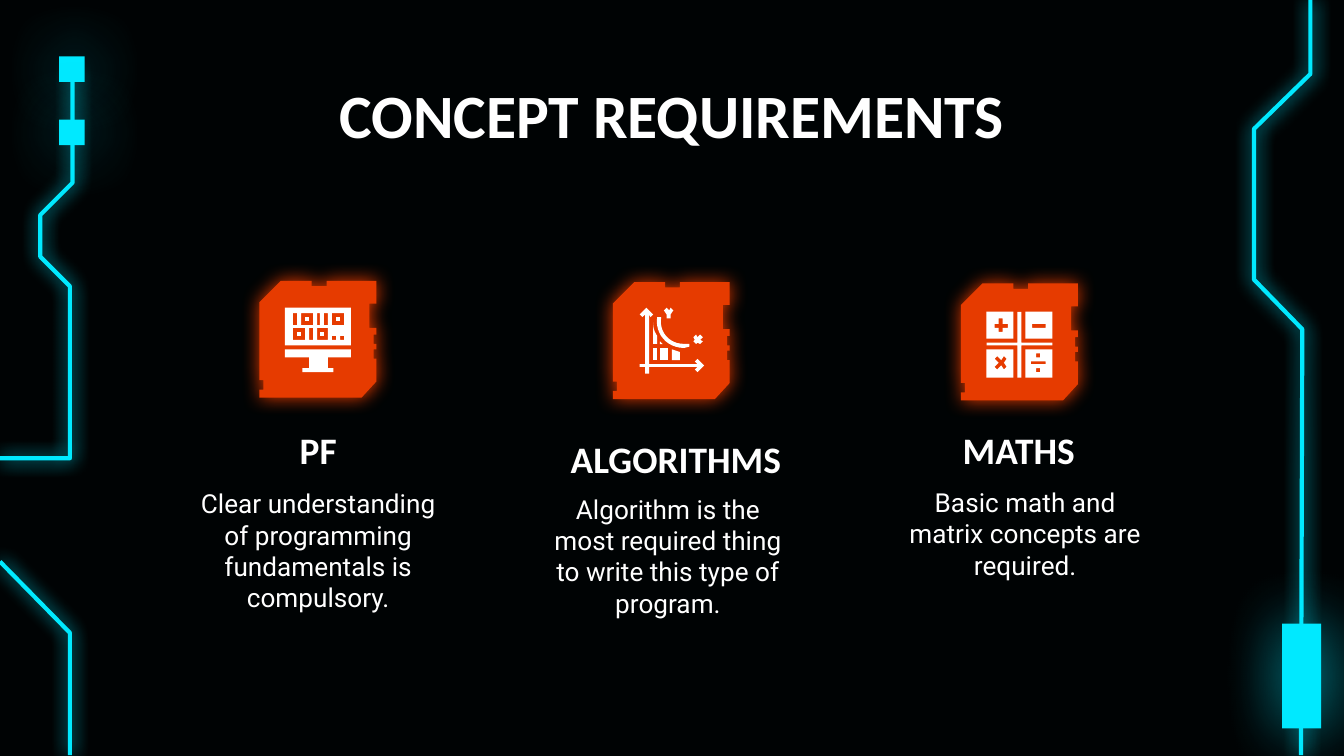
from pptx import Presentation
from pptx.dml.color import RGBColor
from pptx.enum.shapes import MSO_SHAPE
from pptx.enum.text import MSO_ANCHOR, PP_ALIGN
from pptx.oxml import parse_xml
from pptx.oxml.ns import nsdecls, qn
from pptx.util import Cm, Pt

BLACK = RGBColor(0x00, 0x03, 0x04)
CYAN = RGBColor(0x00, 0xE9, 0xFF)
ORANGE = RGBColor(0xE6, 0x3B, 0x00)
WHITE = RGBColor(0xFF, 0xFF, 0xFF)

# Drawing grid: 100 units to 2.54 cm, each divided in 10 for smooth curves
UNIT = Cm(2.54) / 100
FINE = 10


def box(left, top, width, height):
    right, bottom = left + width, top + height
    return [(left, top), (left, bottom), (right, bottom), (right, top)]


def curve(start, control1, control2, end, steps=12):
    """Points along a cubic Bezier curve."""
    points = []
    for step in range(steps + 1):
        t = step / steps
        weights = ((1 - t) ** 3, 3 * t * (1 - t) ** 2, 3 * t * t * (1 - t), t ** 3)
        points.append(tuple(sum(w * p[axis] for w, p in zip(weights, (start, control1, control2, end)))
                            for axis in (0, 1)))
    return points


# Circuit lines, slide coordinates
CIRCUITS = [
    [(0, 418), (52, 471), (52, 562)],
    [(54, 52), (54, 136), (30, 160), (30, 191), (52, 213), (52, 341), (0, 341)],
    [(968, 562), (969, 245), (933, 208), (933, 96), (975, 55), (975, 0)],
]
CIRCUIT_NODES = [(44, 42, 19, 19), (44, 89, 19, 19), (954, 464, 29, 78)]

# Chip behind each icon, from its own corner
CHIP = [(16, 0), (0, 16), (0, 74), (3, 74), (3, 81), (0, 81), (0, 87), (76, 87), (87, 75),
        (87, 58), (85, 58), (85, 51), (87, 51), (87, 47), (85, 47), (85, 40), (87, 40),
        (87, 35), (82, 35), (82, 17), (87, 17), (87, 0), (50, 0), (50, 4), (39, 4), (39, 0)]

# Icons: each part is a list of contours, where inner contours are holes
MONITOR_HOLES = [(6, 4, 3, 9), (12, 4, 9, 9), (24, 4, 2, 9), (29, 4, 3, 9), (35, 4, 9, 9),
                 (6, 15, 9, 9), (18, 15, 3, 9), (24, 15, 8, 9), (35, 21, 3, 3), (41, 21, 3, 3)]
MONITOR_ICON = [
    [box(0, 0, 49, 28), *(box(*hole) for hole in MONITOR_HOLES)],
    *([box(x, y, 3, 3)] for x, y in [(15, 7), (38, 7), (9, 18), (26, 18)]),
    [[(0, 31), (0, 37), (18, 37), (18, 45), (13, 45), (13, 48),
      (36, 48), (36, 45), (32, 45), (32, 37), (49, 37), (49, 31)]],
]
GRAPH_ICON = [
    # Axes
    [[(6, 0), (1, 5), (3, 7), (5, 5), (5, 42), (1, 42), (1, 44), (5, 44), (5, 49), (8, 49), (8, 44),
      (44, 44), (42, 46), (44, 48), (49, 43), (44, 38), (42, 40), (44, 42), (8, 42), (8, 5), (9, 7), (11, 5)]],
    # Curve and the area under it
    [curve((14, 7), (12, 19), (21, 30), (34, 30)) + [(38, 29), (38, 27)]
     + curve((34, 27), (23, 27), (15, 18), (17, 7))],
    [[(16, 25), (16, 27), (18, 27)]],
    [[(11, 27), (14, 27)] + curve((14, 21), (12, 18), (11, 15), (11, 11))],
    [box(11, 30, 3, 9)],
    [box(16, 30, 6, 9)],
    [[(25, 31), (25, 39), (31, 39), (31, 33)]],
    # Axis letters x and y
    [[(43, 20), (41, 22), (42, 24), (41, 25), (43, 27), (44, 26),
      (46, 27), (48, 25), (46, 24), (48, 22), (46, 20), (44, 22)]],
    [[(21, 0), (19, 2), (21, 5), (21, 8), (24, 8), (24, 5), (26, 2), (24, 0), (23, 2)]],
]
PLUS = [(12, 5), (12, 9), (16, 9), (16, 12), (12, 12), (12, 15),
        (9, 15), (9, 12), (6, 12), (6, 9), (9, 9), (9, 5)]
TIMES = [(13, 33), (15, 35), (13, 38), (15, 41), (13, 43), (11, 40),
         (8, 43), (6, 41), (9, 38), (6, 35), (8, 33), (11, 36)]
DIVIDER = [(23, 0), (23, 23), (0, 23), (0, 25), (23, 25), (23, 49),
           (26, 49), (26, 25), (49, 25), (49, 23), (26, 23), (26, 0)]
MATHS_ICON = [
    [box(0, 0, 20, 20), PLUS],
    [DIVIDER],
    [box(29, 0, 20, 20), box(34, 9, 10, 3)],
    [box(0, 28, 20, 21), TIMES],
    [box(29, 28, 20, 21), box(37, 31, 3, 3), box(33, 37, 11, 2), box(37, 42, 3, 3)],
]

# Heading, its place in cm, body, its place in cm, chip corner, icon corner, icon
REQUIREMENTS = [
    ("PF", (3.45, 8.08), "Clear understanding of programming fundamentals is compulsory.",
     (3.45, 9.22), (193, 209), (212, 229), MONITOR_ICON),
    ("ALGORITHMS", (10.21, 8.25), "Algorithm is the most required thing to write this type of program.",
     (10.06, 9.32), (456, 210), (475, 229), GRAPH_ICON),
    ("MATHS", (16.69, 8.08), "Basic math and matrix concepts are required.",
     (16.81, 9.19), (715, 211), (734, 232), MATHS_ICON),
]


def add_glow(shape, color, blur=10.1, distance=0, opacity=100):
    effects = shape._element.spPr.find(qn("a:effectLst"))
    effects.append(parse_xml(
        f'<a:outerShdw {nsdecls("a")} blurRad="{Pt(blur)}" dist="{Pt(distance)}" dir="0" '
        f'algn="bl" rotWithShape="0"><a:srgbClr val="{color}">'
        f'<a:alpha val="{opacity * 1000}"/></a:srgbClr></a:outerShdw>'))


def fill_plain(shape, color):
    shape.shadow.inherit = False
    shape.fill.solid()
    shape.fill.fore_color.rgb = color
    shape.line.fill.background()


def trace(slide, contours, origin=(0, 0), close=True):
    """Draw contours, given in grid units, as one freeform."""
    fine = [[(x * FINE, y * FINE) for x, y in contour] for contour in contours]
    builder = slide.shapes.build_freeform(*fine[0][0], scale=UNIT / FINE)
    for number, (start, *others) in enumerate(fine):
        if number:
            builder.move_to(*start)
        builder.add_line_segments(others, close=close)
    return builder.convert_to_shape(*(round(place * UNIT) for place in origin))


def add_circuit(slide, points):
    circuit = trace(slide, [points], close=False)
    circuit.shadow.inherit = False
    circuit.fill.background()
    circuit.line.color.rgb = CYAN
    circuit.line.width = Pt(2.25)
    add_glow(circuit, CYAN)


def add_node(slide, place):
    node = slide.shapes.add_shape(MSO_SHAPE.RECTANGLE, *(round(length * UNIT) for length in place))
    fill_plain(node, CYAN)
    add_glow(node, CYAN, blur=36, distance=1.5, opacity=70)


def add_icon(slide, chip_corner, icon_corner, icon):
    chip = trace(slide, [CHIP], chip_corner)
    fill_plain(chip, ORANGE)
    add_glow(chip, ORANGE)
    for contours in icon:
        fill_plain(trace(slide, contours, icon_corner), WHITE)


def add_text(slide, text, left, top, width, height, *, size, font="Calibri", bold=False,
             anchor=MSO_ANCHOR.TOP, margin_top=0):
    frame = slide.shapes.add_textbox(Cm(left), Cm(top), Cm(width), Cm(height)).text_frame
    frame.word_wrap = True
    frame.vertical_anchor = anchor
    frame.margin_left = frame.margin_right = frame.margin_bottom = Cm(0.25)
    frame.margin_top = Cm(margin_top)
    paragraph = frame.paragraphs[0]
    paragraph.alignment = PP_ALIGN.CENTER
    run = paragraph.add_run()
    run.text = text
    run.font.name = font
    run.font.size = Pt(size)
    run.font.bold = bold
    run.font.color.rgb = WHITE


def main():
    presentation = Presentation()
    presentation.slide_width, presentation.slide_height = Cm(25.4), Cm(14.29)
    slide = presentation.slides.add_slide(presentation.slide_layouts[6])
    slide.background.fill.solid()
    slide.background.fill.fore_color.rgb = BLACK

    # Glowing circuit frame
    for points in CIRCUITS:
        add_circuit(slide, points)
    for place in CIRCUIT_NODES:
        add_node(slide, place)

    # Title
    add_text(slide, "CONCEPT REQUIREMENTS", 1.98, 1.5, 21.44, 1.32, size=33, bold=True,
             anchor=MSO_ANCHOR.MIDDLE, margin_top=0.25)

    # Requirements
    for heading, heading_place, body, body_place, chip_corner, icon_corner, icon in REQUIREMENTS:
        add_icon(slide, chip_corner, icon_corner, icon)
        add_text(slide, heading, *heading_place, 5.13, 1.07, size=20, bold=True)
        add_text(slide, body, *body_place, 5.13, 2.18, size=14, font="Roboto")

    presentation.save("out.pptx")


if __name__ == "__main__":
    main()
